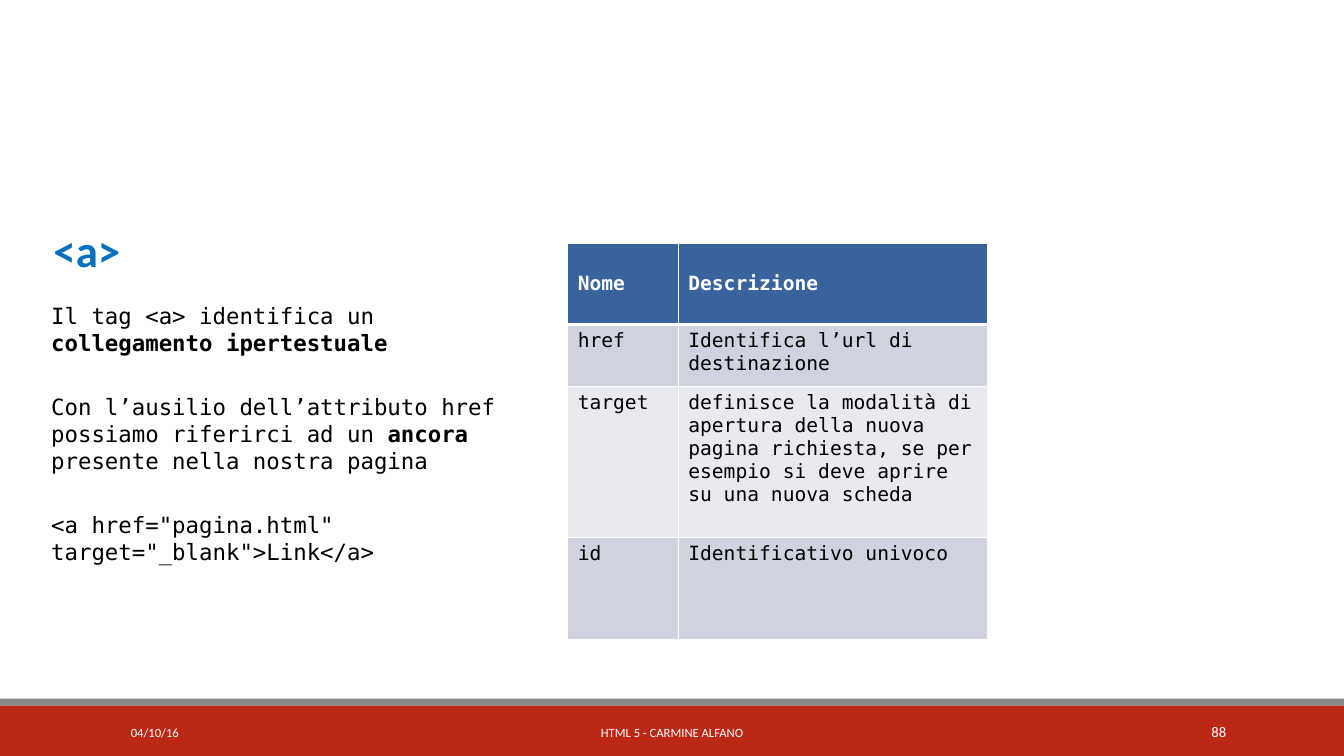
from lxml import etree
from pptx import Presentation
from pptx.dml.color import RGBColor
from pptx.enum.shapes import MSO_SHAPE
from pptx.enum.text import MSO_ANCHOR, PP_ALIGN
from pptx.oxml.ns import qn
from pptx.util import Pt

RECT = MSO_SHAPE.RECTANGLE
TOP, MIDDLE, BOTTOM = MSO_ANCHOR.TOP, MSO_ANCHOR.MIDDLE, MSO_ANCHOR.BOTTOM
LEFT, CENTER, RIGHT = PP_ALIGN.LEFT, PP_ALIGN.CENTER, PP_ALIGN.RIGHT

SANS, MONO = "Calibri", "DejaVu Sans Mono"
WHITE = RGBColor(0xFF, 0xFF, 0xFF)
BLACK = RGBColor(0x00, 0x00, 0x00)
BLUE = RGBColor(0x00, 0x70, 0xC0)
RED = RGBColor(0xBC, 0x28, 0x16)
GREY = RGBColor(0x8A, 0x89, 0x89)
HEADER_FILL = RGBColor(0x39, 0x63, 0x9D)
BAND_FILLS = RGBColor(0xCE, 0xD3, 0xDF), RGBColor(0xE8, 0xEA, 0xEF)

WIDTH, HEIGHT = 960, 540

# Runs as (text, bold)
PARAGRAPHS = [
    [("Il tag <a> identifica un ", False), ("collegamento ipertestuale", True)],
    [("Con l’ausilio dell’attributo href possiamo riferirci ad un ", False),
     ("ancora ", True), ("presente nella nostra pagina", False)],
    [('<a href="pagina.html" target="_blank">Link</a>', False)],
]
ATTRIBUTES = [
    ("Nome", "Descrizione"),
    ("href", "Identifica l’url di destinazione"),
    ("target", "definisce la modalità di apertura della nuova pagina richiesta, "
               "se per esempio si deve aprire su una nuova scheda"),
    ("id", "Identificativo univoco"),
]
COLUMN_WIDTHS = 79, 221
ROW_HEIGHTS = 58, 44, 108, 73


def set_font(p, name, size, color, bold=False):
    p.font.name, p.font.size, p.font.bold = name, Pt(size), bold
    p.font.color.rgb = color


def add_text_box(s, x, y, w, h, anchor=TOP):
    tf = s.shapes.add_textbox(Pt(x), Pt(y), Pt(w), Pt(h)).text_frame
    tf.word_wrap = True
    tf.vertical_anchor = anchor
    return tf


def add_footer(s, x, y, w, h):
    # Red band with a grey strip on top
    strip = 5
    for top, height, color in ((y, strip, GREY), (y + strip, h - strip, RED)):
        bar = s.shapes.add_shape(RECT, Pt(x), Pt(top), Pt(w), Pt(height))
        bar.shadow.inherit = False
        bar.fill.solid()
        bar.fill.fore_color.rgb = color
        bar.line.fill.background()

    # Date, footer text and slide number
    for left, width, text, size, align in (
            (86.4, 194.4, "04/10/16", 9, LEFT),
            (290, 380, "HTML 5 - CARMINE ALFANO", 9, CENTER),
            (780, 103, "88", 10.5, RIGHT)):
        p = add_text_box(s, x + left, y + 9.5, width, 28.8, MIDDLE).paragraphs[0]
        p.text, p.alignment = text, align
        set_font(p, SANS, size, WHITE)


def add_title(s, x, y, w, h):
    title = s.shapes.title
    title.left, title.top, title.width, title.height = Pt(x), Pt(y), Pt(w), Pt(h)
    tf = title.text_frame
    tf.vertical_anchor = BOTTOM
    p = tf.paragraphs[0]
    p.text, p.alignment = "<a>", LEFT
    set_font(p, SANS, 32, BLUE, True)


def add_description(s, x, y, w, h):
    tf = add_text_box(s, x, y, w, h)
    for i, runs in enumerate(PARAGRAPHS):
        p = tf.add_paragraph() if i else tf.paragraphs[0]
        if i:
            p.space_before = Pt(26.6)
        set_font(p, MONO, 16, BLACK)
        for text, bold in runs:
            r = p.add_run()
            r.text, r.font.bold = text, bold


def set_borders(cell, top, bottom):
    tc_pr = cell._tc.get_or_add_tcPr()
    for side, width in (("L", 1), ("R", 1), ("T", top), ("B", bottom)):
        ln = etree.SubElement(tc_pr, qn(f"a:ln{side}"), w=str(Pt(width)))
        fill = etree.SubElement(ln, qn("a:solidFill"))
        etree.SubElement(fill, qn("a:srgbClr"), val=str(WHITE))


def add_attribute_table(s, x, y):
    table = s.shapes.add_table(
        len(ROW_HEIGHTS), len(COLUMN_WIDTHS), Pt(x), Pt(y),
        Pt(sum(COLUMN_WIDTHS)), Pt(sum(ROW_HEIGHTS))).table
    for column, width in zip(table.columns, COLUMN_WIDTHS):
        column.width = Pt(width)
    for i, (row, texts) in enumerate(zip(table.rows, ATTRIBUTES)):
        row.height = Pt(ROW_HEIGHTS[i])
        header = i == 0
        for cell, text in zip(row.cells, texts):
            set_borders(cell, 3 if i == 1 else 1, 3 if header else 1)
            cell.fill.solid()
            cell.fill.fore_color.rgb = HEADER_FILL if header else BAND_FILLS[(i - 1) % 2]
            cell.vertical_anchor = MIDDLE if header else TOP
            p = cell.text_frame.paragraphs[0]
            p.text = text
            set_font(p, MONO, 14, WHITE if header else BLACK, header)


def main():
    prs = Presentation()
    prs.slide_width, prs.slide_height = Pt(WIDTH), Pt(HEIGHT)
    s = prs.slides.add_slide(prs.slide_layouts[5])
    add_footer(s, 0, HEIGHT - 41, WIDTH, 41)
    add_title(s, 31, 111.6, 357, 89.3)
    add_description(s, 29.5, 212.4, 358, 249)
    add_attribute_table(s, 405.5, 173.8)
    prs.save("out.pptx")


if __name__ == "__main__":
    main()
